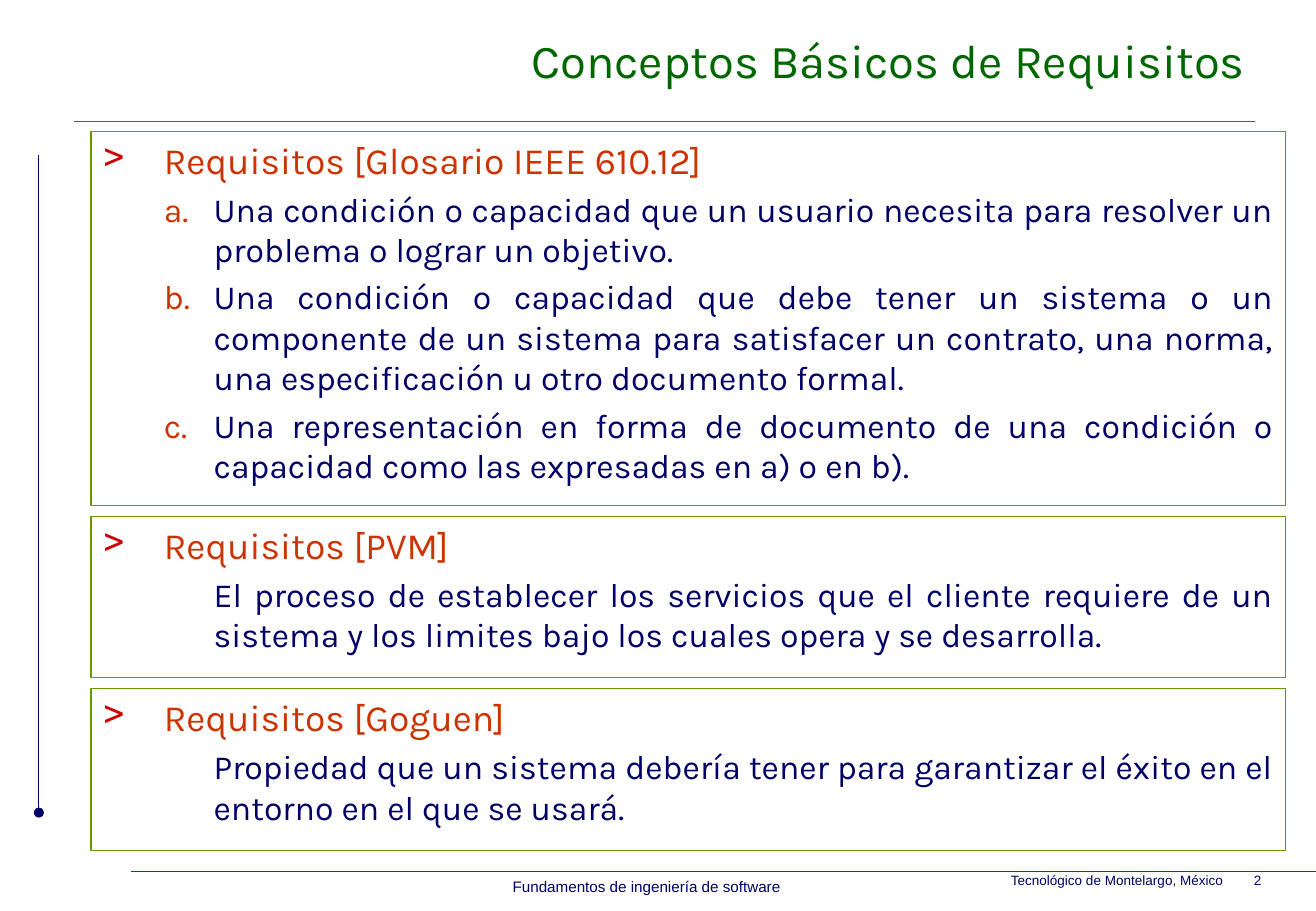
import pptx
import pptx.dml.color
import pptx.enum.shapes
import pptx.enum.text
import pptx.oxml
import pptx.oxml.ns
import pptx.util
from pptx.util import Inches, Pt

RGB = pptx.dml.color.RGBColor
ALIGN = pptx.enum.text.PP_ALIGN
ANCHOR = pptx.enum.text.MSO_ANCHOR

NAVY = RGB(0x00, 0x00, 0x66)
GREEN = RGB(0x00, 0x66, 0x00)
LIME = RGB(0x66, 0x99, 0x00)
ORANGE = RGB(0xCC, 0x33, 0x00)
RED = RGB(0xCC, 0x00, 0x00)
WHITE = RGB(0xFF, 0xFF, 0xFF)

TITLE = "Conceptos Básicos de Requisitos"
COURSE = "Fundamentos de ingeniería de software"
SCHOOL_AND_PAGE = "Tecnológico de Montelargo, México\t2"

DEFINITIONS = [
    (1.08, 3.08, "Requisitos [Glosario IEEE 610.12]", [
        "Una condición o capacidad que un usuario necesita para resolver un problema "
        "o lograr un objetivo.",
        "Una condición o capacidad que debe tener un sistema o un componente de un sistema "
        "para satisfacer un contrato, una norma, una especificación u otro documento formal.",
        "Una representación en forma de documento de una condición o capacidad como las "
        "expresadas en a) o en b).",
    ]),
    (4.25, 1.33, "Requisitos [PVM]", [
        "El proceso de establecer los servicios que el cliente requiere de un sistema y los "
        "limites bajo los cuales opera y se desarrolla.",
    ]),
    (5.67, 1.33, "Requisitos [Goguen]", [
        "Propiedad que un sistema debería tener para garantizar el éxito en el entorno en el "
        "que se usará.",
    ]),
]

RULES = [
    (0.61, 1, 10.33, 1, ORANGE, 0.5, False),
    (1.08, 7.17, 10.83, 7.17, GREEN, 0.25, False),
    (0.32, 1.28, 0.32, 6.69, NAVY, 0.75, True),
]

deck = pptx.Presentation()
deck.slide_width, deck.slide_height = Inches(10.83), Inches(7.5)
slide = deck.slides.add_slide(deck.slide_layouts[6])


def add_xml(parent, tag, **attributes):
    child = pptx.oxml.parse_xml(f"<a:{tag} {pptx.oxml.ns.nsdecls('a')}/>")
    for name, value in attributes.items():
        child.set(name, str(value))
    parent.append(child)
    return child


def style(paragraph, font, size, color, align):
    paragraph.alignment = align
    for run in paragraph.runs:
        run.font.name, run.font.size = font, Pt(size)
        run.font.color.rgb = color


def indent(paragraph, left, hanging):
    properties = paragraph._p.get_or_add_pPr()
    properties.set("marL", str(Inches(left)))
    properties.set("indent", str(-Inches(hanging)))
    return properties


def add_bullet(properties, color, tag, **attributes):
    add_xml(add_xml(properties, "buClr"), "srgbClr", val=color)
    add_xml(properties, tag, **attributes)


def add_rule(x1, y1, x2, y2, color, width, dotted_end):
    rule = slide.shapes.add_connector(
        pptx.enum.shapes.MSO_CONNECTOR.STRAIGHT,
        Inches(x1), Inches(y1), Inches(x2), Inches(y2))
    rule.line.color.rgb, rule.line.width = color, Pt(width)
    if dotted_end:
        add_xml(rule.line._get_or_add_ln(), "tailEnd", type="oval")
    add_xml(rule._element.spPr, "effectLst")


def add_label(text, place, font, size, color, align, wrap=True, anchor=ANCHOR.TOP):
    frame = slide.shapes.add_textbox(*map(Inches, place)).text_frame
    frame.word_wrap, frame.vertical_anchor = wrap, anchor
    frame.text = text
    style(frame.paragraphs[0], font, size, color, align)


def add_definition(top, height, heading, meanings):
    box = slide.shapes.add_shape(
        pptx.enum.shapes.MSO_SHAPE.RECTANGLE,
        Inches(0.75), Inches(top), Inches(9.83), Inches(height))
    box.shadow.inherit = False
    box.fill.solid()
    box.fill.fore_color.rgb = WHITE
    box.line.color.rgb, box.line.width = LIME, Pt(0.75)
    frame = box.text_frame
    frame.word_wrap, frame.vertical_anchor = True, ANCHOR.TOP
    frame.text = "\n".join([heading, *meanings])
    first, *rest = frame.paragraphs
    style(first, "Karla", 22, ORANGE, ALIGN.JUSTIFY)
    add_bullet(indent(first, 0.5, 0.5), RED, "buChar", char=">")
    for number, meaning in enumerate(rest, 1):
        style(meaning, "Karla", 20, NAVY, ALIGN.JUSTIFY)
        meaning.level, meaning.space_before = 1, Pt(4)
        if len(rest) > 1:
            add_bullet(indent(meaning, 0.91, 0.41), ORANGE, "buAutoNum",
                       type="alphaLcPeriod", startAt=number)
        else:
            indent(meaning, 0.91, 0)


for rule in RULES:
    add_rule(*rule)
add_label(SCHOOL_AND_PAGE, (8.22, 7.13, 2.56, 0.24), "Arial", 8, NAVY, ALIGN.LEFT)
add_label(COURSE, (4.11, 7.17, 2.42, 0.25), "Arial", 9, NAVY, ALIGN.CENTER, wrap=False)
add_label(TITLE, (0.67, 0.08, 9.67, 0.83), "Karla", 28, GREEN, ALIGN.RIGHT,
          anchor=ANCHOR.MIDDLE)
for definition in DEFINITIONS:
    add_definition(*definition)

deck.save("out.pptx")
